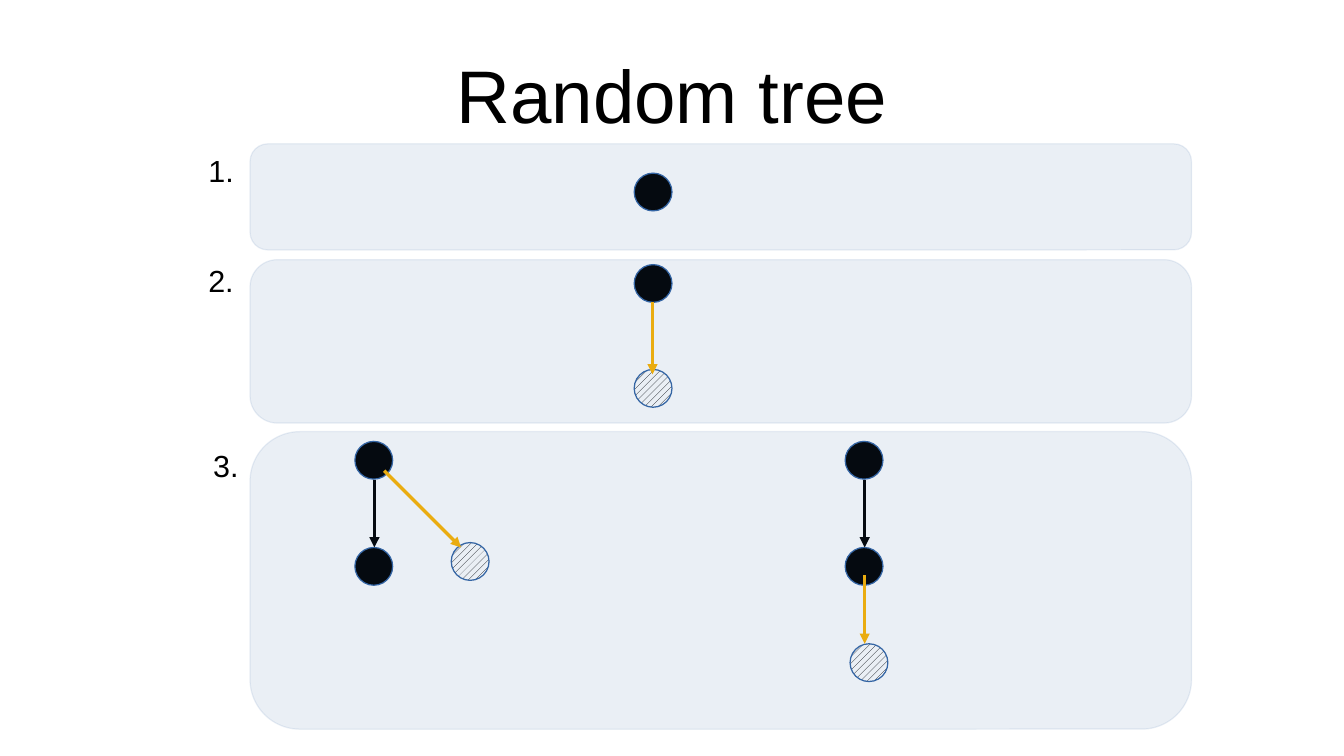
import pptx
import pptx.dml.color
import pptx.enum.dml
import pptx.enum.shapes
import pptx.enum.text
import pptx.oxml
import pptx.oxml.ns
import pptx.util

Inches = pptx.util.Inches
Pt = pptx.util.Pt
RGBColor = pptx.dml.color.RGBColor
SHAPE = pptx.enum.shapes.MSO_SHAPE
BLACK = RGBColor(0x00, 0x00, 0x00)
WHITE = RGBColor(0xFF, 0xFF, 0xFF)
BLUE = RGBColor(0x34, 0x65, 0xA4)
AMBER = RGBColor(0xFF, 0xB5, 0x00)
SIZE = 0.31


def add_node(slide, left, top, fresh=False):
    node = slide.shapes.add_shape(
        SHAPE.OVAL, Inches(left), Inches(top), Inches(SIZE), Inches(SIZE))
    node.shadow.inherit = False
    if fresh:
        node.fill.patterned()
        node.fill.pattern = pptx.enum.dml.MSO_PATTERN.WIDE_UPWARD_DIAGONAL
        node.fill.fore_color.rgb = BLACK
        node.fill.back_color.rgb = WHITE
    else:
        node.fill.solid()
        node.fill.fore_color.rgb = BLACK
    node.line.color.rgb = BLUE
    node.line.width = Pt(0)


def add_arrow(slide, start, end, color):
    arrow = slide.shapes.add_connector(
        pptx.enum.shapes.MSO_CONNECTOR.STRAIGHT,
        Inches(start[0]), Inches(start[1]), Inches(end[0]), Inches(end[1]))
    arrow.line.color.rgb = color
    arrow.line.width = Pt(0)
    line = arrow.line._get_or_add_ln()
    tail = pptx.oxml.parse_xml(
        f'<a:tailEnd {pptx.oxml.ns.nsdecls("a")} type="triangle"/>')
    line.append(tail)
    effect = pptx.oxml.parse_xml(
        f'<a:effectLst {pptx.oxml.ns.nsdecls("a")}/>')
    arrow._element.spPr.append(effect)


def add_panel(slide, top, height):
    panel = slide.shapes.add_shape(
        SHAPE.ROUNDED_RECTANGLE,
        Inches(2.05), Inches(top), Inches(7.72), Inches(height))
    panel.shadow.inherit = False
    panel.adjustments[0] = 0.167
    panel.fill.solid()
    panel.fill.fore_color.rgb = BLUE
    panel.line.color.rgb = BLUE
    panel.line.width = Pt(0)
    for color in panel._element.spPr.iter(pptx.oxml.ns.qn("a:srgbClr")):
        alpha = pptx.oxml.parse_xml(
            f'<a:alpha {pptx.oxml.ns.nsdecls("a")} val="10000"/>')
        color.append(alpha)


def add_text(slide, text, left, top, width, height, size):
    box = slide.shapes.add_textbox(
        Inches(left), Inches(top), Inches(width), Inches(height))
    box.text_frame.word_wrap = True
    para = box.text_frame.paragraphs[0]
    run = para.add_run()
    run.text = text
    run.font.name = "Arial"
    run.font.size = Pt(size)
    run.font.color.rgb = BLACK
    return box.text_frame


def add_title(slide):
    frame = add_text(slide, "Random tree", 0.55, 0.25, 9.92, 1.04, 44)
    frame.margin_left = frame.margin_right = Inches(0)
    frame.margin_top = frame.margin_bottom = Inches(0)
    frame.vertical_anchor = pptx.enum.text.MSO_ANCHOR.MIDDLE
    frame.paragraphs[0].alignment = pptx.enum.text.PP_ALIGN.CENTER


def main():
    deck = pptx.Presentation()
    deck.slide_width = Inches(11.02)
    deck.slide_height = Inches(6.2)
    slide = deck.slides.add_slide(deck.slide_layouts[6])
    add_title(slide)

    for top in (1.42, 2.17):
        add_node(slide, 5.2, top)
    add_node(slide, 5.2, 3.03, fresh=True)
    add_arrow(slide, (5.35, 2.48), (5.35, 3.07), AMBER)

    for left in (2.91, 6.93):
        for top in (3.62, 4.49):
            add_node(slide, left, top)
        mid = left + 0.16
        add_arrow(slide, (mid, 3.94), (mid, 4.49), BLACK)
    add_node(slide, 3.7, 4.45, fresh=True)
    add_arrow(slide, (3.15, 3.86), (3.78, 4.49), AMBER)
    add_node(slide, 6.97, 5.28, fresh=True)
    add_arrow(slide, (7.09, 4.72), (7.09, 5.28), AMBER)

    for top, height in ((1.18, 0.87), (2.13, 1.34), (3.54, 2.44)):
        add_panel(slide, top, height)

    labels = (
        ("1.", 1.61, 1.2, 0.41, 0.69),
        ("2.", 1.61, 2.1, 0.87, 0.46),
        ("3.", 1.65, 3.62, 0.63, 0.38),
    )
    for label in labels:
        add_text(slide, *label, 18)
    deck.save("out.pptx")


if __name__ == "__main__":
    main()
